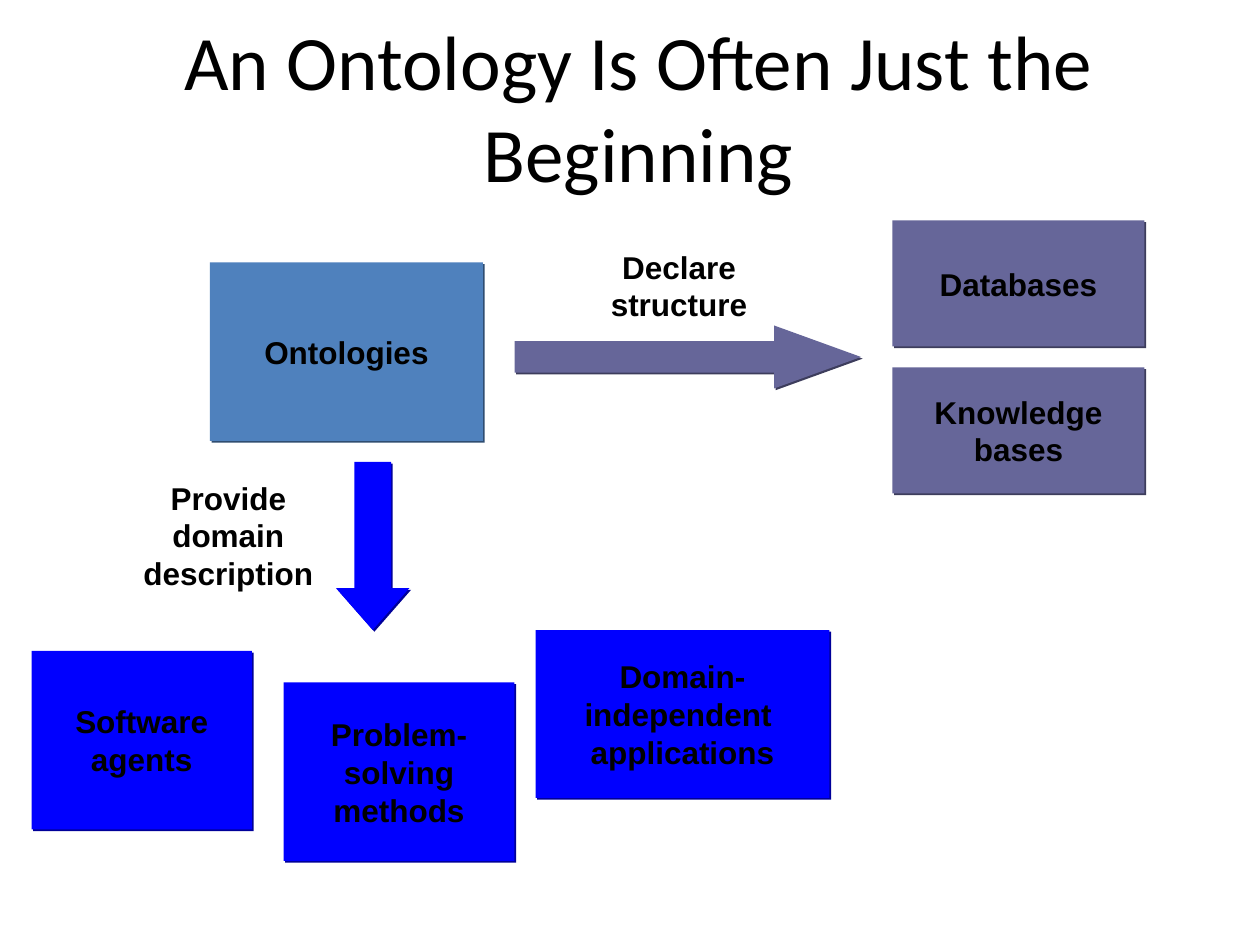
from dataclasses import dataclass

from lxml.etree import SubElement
from pptx import Presentation
from pptx.dml.color import RGBColor
from pptx.enum.shapes import MSO_SHAPE as Preset
from pptx.enum.text import MSO_ANCHOR as Anchor, MSO_AUTO_SIZE as AutoSize, PP_ALIGN as Align
from pptx.oxml.ns import qn
from pptx.shapes.autoshape import Shape
from pptx.slide import Slide
from pptx.text.text import TextFrame
from pptx.util import Pt

COLORS = {
    "text": "000000",
    "ontology": "4F81BD",
    "ontology_shadow": "2F4D71",
    "software": "0000FF",
    "software_shadow": "000099",
    "storage": "666699",
    "storage_shadow": "3D3D5C",
}


@dataclass(frozen=True)
class Frame:
    left: float
    top: float
    width: float
    height: float

    def lengths(self) -> tuple[Pt, Pt, Pt, Pt]:
        return Pt(self.left), Pt(self.top), Pt(self.width), Pt(self.height)


@dataclass(frozen=True)
class Block:
    text: str
    family: str
    frame: Frame


@dataclass(frozen=True)
class BlockArrow:
    preset: Preset
    family: str
    frame: Frame
    head_ratio: float


@dataclass(frozen=True)
class Label:
    text: str
    frame: Frame


TITLE = Label("An Ontology Is Often Just the Beginning", Frame(25, 4, 680, 113))

BLOCKS = [
    Block("Ontologies", "ontology", Frame(120, 150, 156, 102)),
    Block("Software agents", "software", Frame(18, 372, 126, 102)),
    Block("Problem-solving methods", "software", Frame(162, 390, 132, 102)),
    Block("Domain-independent \napplications", "software", Frame(306, 360, 168, 96)),
    Block("Databases", "storage", Frame(510, 126, 144, 72)),
    Block("Knowledge\nbases", "storage", Frame(510, 210, 144, 72)),
]

ARROWS = [
    BlockArrow(Preset.RIGHT_ARROW, "storage", Frame(294, 186, 198, 36), 1.38),
    BlockArrow(Preset.DOWN_ARROW, "software", Frame(192, 264, 42, 96), 0.57),
]

LABELS = [
    Label("Declare\nstructure", Frame(339, 138, 98, 50.4)),
    Label("Provide\ndomain\ndescription", Frame(72, 270, 117, 72)),
]


def write_text(frame: TextFrame, text: str, font: str = "Arial",
               size: float = 18, bold: bool = True) -> None:
    frame.text = text
    for paragraph in frame.paragraphs:
        paragraph.alignment = Align.CENTER
        for run in paragraph.runs:
            run.font.name = font
            run.font.size = Pt(size)
            run.font.bold = bold
            run.font.color.rgb = RGBColor.from_string(COLORS["text"])


def add_solid(slide: Slide, preset: Preset, frame: Frame, family: str) -> Shape:
    """Add a borderless shape with its family's fill and hard offset shadow."""
    solid = slide.shapes.add_shape(preset, *frame.lengths())
    solid.fill.solid()
    solid.fill.fore_color.rgb = RGBColor.from_string(COLORS[family])
    solid.line.fill.background()
    solid.shadow.inherit = False
    effects = solid._element.spPr.find(qn("a:effectLst"))
    shadow = SubElement(effects, qn("a:outerShdw"), blurRad="0", dist=str(Pt(1.4)),
                        dir="2700000", algn="ctr", rotWithShape="0")
    SubElement(shadow, qn("a:srgbClr"), val=COLORS[f"{family}_shadow"])
    return solid


def draw_block(slide: Slide, block: Block) -> None:
    solid = add_solid(slide, Preset.RECTANGLE, block.frame, block.family)
    solid.text_frame.word_wrap = True
    solid.text_frame.vertical_anchor = Anchor.MIDDLE
    write_text(solid.text_frame, block.text)


def draw_arrow(slide: Slide, arrow: BlockArrow) -> None:
    solid = add_solid(slide, arrow.preset, arrow.frame, arrow.family)
    solid.adjustments[0] = 0.5
    solid.adjustments[1] = arrow.head_ratio


def draw_label(slide: Slide, label: Label) -> None:
    text_frame = slide.shapes.add_textbox(*label.frame.lengths()).text_frame
    text_frame.word_wrap = False
    text_frame.auto_size = AutoSize.SHAPE_TO_FIT_TEXT
    write_text(text_frame, label.text)


def draw_title(slide: Slide, title: Label) -> None:
    text_frame = slide.shapes.add_textbox(*title.frame.lengths()).text_frame
    text_frame.word_wrap = True
    text_frame.vertical_anchor = Anchor.MIDDLE
    write_text(text_frame, title.text, font="Calibri", size=44, bold=False)


def main() -> None:
    deck = Presentation()
    deck.slide_width, deck.slide_height = Pt(720), Pt(540)
    slide = deck.slides.add_slide(deck.slide_layouts[6])
    draw_title(slide, TITLE)
    for block in BLOCKS:
        draw_block(slide, block)
    for arrow in ARROWS:
        draw_arrow(slide, arrow)
    for label in LABELS:
        draw_label(slide, label)
    deck.save("out.pptx")


if __name__ == "__main__":
    main()
